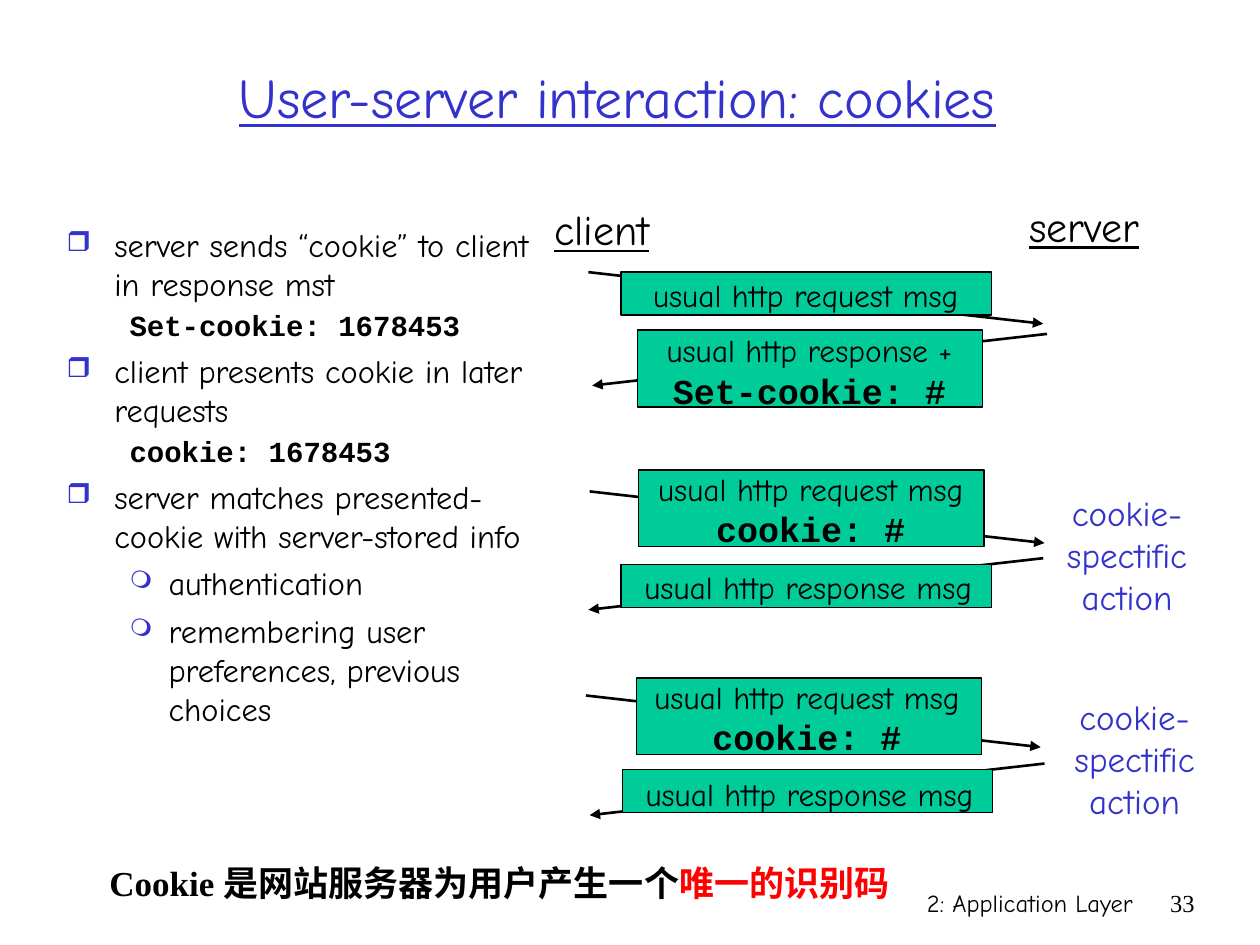
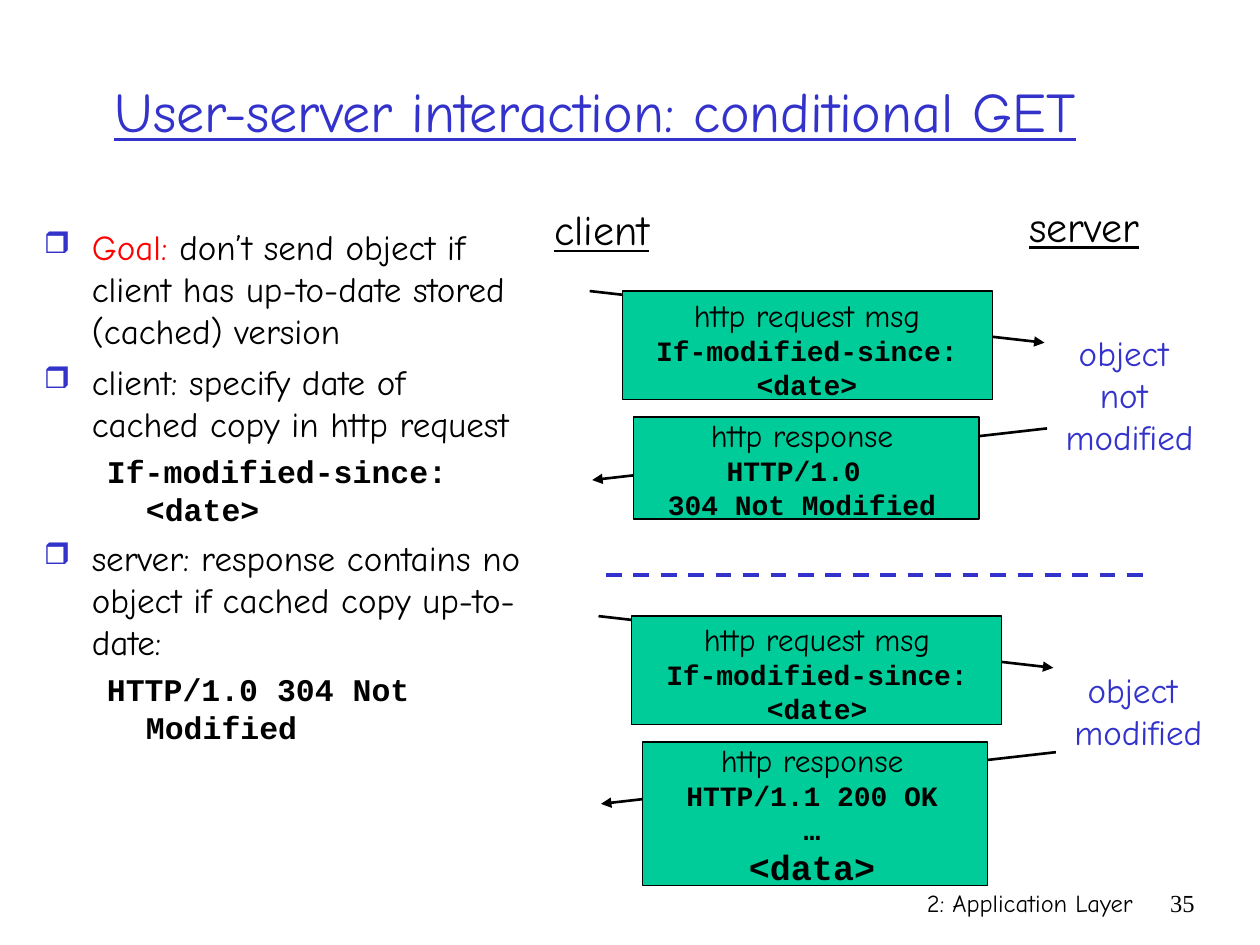
from lxml import etree
from pptx import Presentation
from pptx import util as u
from pptx.dml.color import RGBColor
from pptx.enum import dml, shapes, text
from pptx.oxml import ns

PX = 9144  # 100 px to the inch
COLOURS = {"blue": "3333CC", "green": "00CC99", "black": "000000", "red": "FF0000"}
COMIC, COURIER, TIMES = "Comic Neue", "Courier New", "Times New Roman"
LEFT, CENTRE, RIGHT = text.PP_ALIGN.LEFT, text.PP_ALIGN.CENTER, text.PP_ALIGN.RIGHT

# style: colour, then the font attributes
STYLES = {
    "title": ("blue", {"name": COMIC, "size": u.Pt(32), "underline": True}),
    "host": ("black", {"name": COMIC, "size": u.Pt(24), "underline": True}),
    "footer": ("black", {"name": COMIC, "size": u.Pt(14)}),
    "number": ("black", {"name": TIMES, "size": u.Pt(14)}),
    "message": ("black", {"name": COMIC, "size": u.Pt(18)}),
    "header": ("black", {"name": COURIER, "size": u.Pt(16), "bold": True}),
    "big header": ("black", {"name": COURIER, "size": u.Pt(20), "bold": True}),
    "action": ("blue", {"name": COMIC, "size": u.Pt(20)}),
    "small body": ("black", {"name": COMIC, "size": u.Pt(18.5)}),
    "small code": ("black", {"name": COURIER, "size": u.Pt(16.6), "bold": True}),
    "body": ("black", {"name": COMIC, "size": u.Pt(20)}),
    "goal": ("red", {"name": COMIC, "size": u.Pt(20)}),
    "code": ("black", {"name": COURIER, "size": u.Pt(18), "bold": True}),
    "remark": ("black", {"name": TIMES, "size": u.Pt(20), "bold": True}),
    "remark key": ("red", {"name": TIMES, "size": u.Pt(20), "bold": True}),
}

# list kind: level, left margin, hanging indent, bullet, bullet size, paragraph format
LISTS = {
    "point": (0, 38, 38, "❒", 85, {"space_before": u.Pt(5)}),
    "subpoint": (1, 81, 31, "❍", 75, {"space_before": u.Pt(5)}),
    "code": (1, 81, 31, None, 0, {"space_before": u.Pt(4.5)}),
    "tight code": (1, 81, 31, None, 0, {"space_before": u.Pt(4.5), "line_spacing": 0.9}),
}


def add_text(slide, box, paragraphs, align=CENTRE, wrap=True, anchor=text.MSO_ANCHOR.TOP):
    """Each paragraph is (list kind or None, [(text, style), ...])."""
    frame = slide.shapes.add_textbox(*[n * PX for n in box]).text_frame
    frame.word_wrap = wrap
    frame.vertical_anchor = anchor
    if not wrap:
        frame.auto_size = text.MSO_AUTO_SIZE.SHAPE_TO_FIT_TEXT
    for index, (kind, runs) in enumerate(paragraphs):
        paragraph = frame.add_paragraph() if index else frame.paragraphs[0]
        paragraph.alignment = align
        if kind:
            level, margin, hanging, bullet, percent, spacing = LISTS[kind]
            paragraph.level = level
            for name, value in spacing.items():
                if index or name != "space_before":
                    setattr(paragraph, name, value)
            properties = paragraph._p.get_or_add_pPr()
            properties.set("marL", str(margin * PX))
            properties.set("indent", str(-hanging * PX))
            if bullet:
                colour = etree.SubElement(properties, ns.qn("a:buClr"))
                etree.SubElement(colour, ns.qn("a:srgbClr"), val=COLOURS["blue"])
                etree.SubElement(properties, ns.qn("a:buSzPct"), val=str(percent * 1000))
                etree.SubElement(properties, ns.qn("a:buChar"), char=bullet)
        for words, style in runs:
            run = paragraph.add_run()
            run.text = words
            colour, font_format = STYLES[style]
            run.font.color.rgb = RGBColor.from_string(COLOURS[colour])
            for name, value in font_format.items():
                setattr(run.font, name, value)


def add_line(slide, start, end, colour, width):
    connector = slide.shapes.add_connector(
        shapes.MSO_CONNECTOR.STRAIGHT, *[n * PX for n in (*start, *end)])
    connector.line.color.rgb = RGBColor.from_string(COLOURS[colour])
    connector.line.width = u.Pt(width)
    etree.SubElement(connector._element.spPr, ns.qn("a:effectLst"))
    return connector


REQUEST = [("usual http request msg", "message")]
RESPONSE = [("usual http response msg", "message")]
COOKIE_REQUEST = REQUEST + [("cookie: #", "big header")]
DATE_REQUEST = [("http request msg", "message"), ("If-modified-since: <date>", "header")]
COOKIE_ACTION = ["cookie-", "spectific", "action"]
TO_SERVER, TO_CLIENT = 1, -1
ARROW_RUN, ARROW_DROP = 361, 41

# messages: direction, arrow start, rectangle, text box, lines
SLIDES = [
    {
        "number": "33",
        "title": ("User-server interaction: cookies", (65, 14, 850, 125)),
        "body box": (43, 174, 394, 471),
        "body": [
            ("point", [("server sends “cookie” to client in response mst", "small body")]),
            ("tight code", [("Set-cookie: 1678453", "small code")]),
            ("point", [("client presents cookie in later requests", "small body")]),
            ("tight code", [("cookie: 1678453", "small code")]),
            ("point", [("server matches presented-cookie with server-stored info", "small body")]),
            ("subpoint", [("authentication", "small body")]),
            ("subpoint", [("remembering user preferences, previous choices", "small body")]),
        ],
        "messages": [
            (TO_SERVER, (467, 216), (493, 216, 294, 34), (493, 214, 293, 40), REQUEST),
            (TO_CLIENT, (831, 265), (506, 262, 274, 61), (498, 258, 289, 74),
             [("usual http response +", "message"), ("Set-cookie: #", "big header")]),
            (TO_SERVER, (468, 390), (507, 373, 274, 61), (497, 368, 293, 74), COOKIE_REQUEST),
            (TO_CLIENT, (828, 443), (493, 448, 294, 34), (490, 446, 303, 40), RESPONSE),
            (TO_SERVER, (465, 552), (505, 538, 274, 61), (494, 533, 293, 74), COOKIE_REQUEST),
            (TO_CLIENT, (829, 606), (494, 611, 294, 34), (491, 610, 303, 40), RESPONSE),
        ],
        "actions": [((832, 385, 125, 110), COOKIE_ACTION), ((838, 547, 125, 110), COOKIE_ACTION)],
    },
    {
        "number": "35",
        "title": ("User-server interaction: conditional GET", (37, 25, 871, 125)),
        "body box": (25, 174, 399, 471),
        "body": [
            ("point", [("Goal:", "goal"), (" don’t send object if client has up-to-date "
                                           "stored (cached) version", "body")]),
            ("point", [("client: specify date of cached copy in http request", "body")]),
            ("code", [("If-modified-since: <date>", "code")]),
            ("point", [("server: response contains no object if cached copy up-to-date:", "body")]),
            ("code", [("HTTP/1.0 304 Not Modified", "code")]),
        ],
        "messages": [
            (TO_SERVER, (468, 231), (494, 231, 294, 86), (494, 230, 293, 94), DATE_REQUEST),
            (TO_CLIENT, (831, 340), (503, 331, 274, 81), (492, 325, 289, 94),
             [("http response", "message"), ("HTTP/1.0 ", "header"),
              ("304 Not Modified", "header")]),
            (TO_SERVER, (475, 489), (501, 489, 294, 86), (502, 487, 293, 94), DATE_REQUEST),
            (TO_CLIENT, (838, 597), (510, 589, 274, 114), (500, 583, 289, 127),
             [("http response", "message"), ("HTTP/1.1 200 OK", "header"),
              ("…", "header"), ("<data>", "big header")]),
        ],
        "actions": [((831, 258, 131, 110), ["object ", "not ", "modified"]),
                    ((838, 526, 131, 77), ["object ", "modified"])],
    },
]

presentation = Presentation()
presentation.slide_width = 1000 * PX
presentation.slide_height = 750 * PX

for content in SLIDES:
    slide = presentation.slides.add_slide(presentation.slide_layouts[6])
    add_text(slide, (592, 700, 317, 50), [(None, [("2: Application Layer", "footer")])], RIGHT)
    add_text(slide, (908, 700, 50, 50), [(None, [(content["number"], "number")])], RIGHT)
    title, title_box = content["title"]
    add_text(slide, title_box, [(None, [(title, "title")])], anchor=text.MSO_ANCHOR.MIDDLE)
    add_text(slide, content["body box"], content["body"], LEFT)
    for host, box in (("client", (425, 157, 105, 50)), ("server", (802, 154, 117, 50))):
        add_text(slide, box, [(None, [(host, "host")])], wrap=False)

    for direction, (x, y), rectangle, text_box, lines in content["messages"]:
        arrow = add_line(slide, (x, y), (x + direction * ARROW_RUN, y + ARROW_DROP), "black", 1.5)
        etree.SubElement(arrow.line._get_or_add_ln(), ns.qn("a:tailEnd"), type="triangle")
        shape = slide.shapes.add_shape(
            shapes.MSO_SHAPE.RECTANGLE, *[n * PX for n in rectangle])
        shape.shadow.inherit = False
        shape.fill.solid()
        shape.fill.fore_color.rgb = RGBColor.from_string(COLOURS["green"])
        shape.line.color.rgb = RGBColor.from_string(COLOURS["black"])
        shape.line.width = u.Pt(0.75)
        add_text(slide, text_box, [(None, [line]) for line in lines])

    for box, lines in content["actions"]:
        add_text(slide, box, [(None, [(line, "action")]) for line in lines], wrap=False)

cookie_slide, conditional_slide = presentation.slides
add_text(cookie_slide, (77, 679, 884, 44),
         [(None, [("Cookie 是网站服务器为用户产生一个", "remark"), ("唯一的识别码", "remark key")])], LEFT)
divider = add_line(conditional_slide, (481, 456), (908, 456), "blue", 2.25)
divider.line.dash_style = dml.MSO_LINE.DASH

presentation.save("out.pptx")
